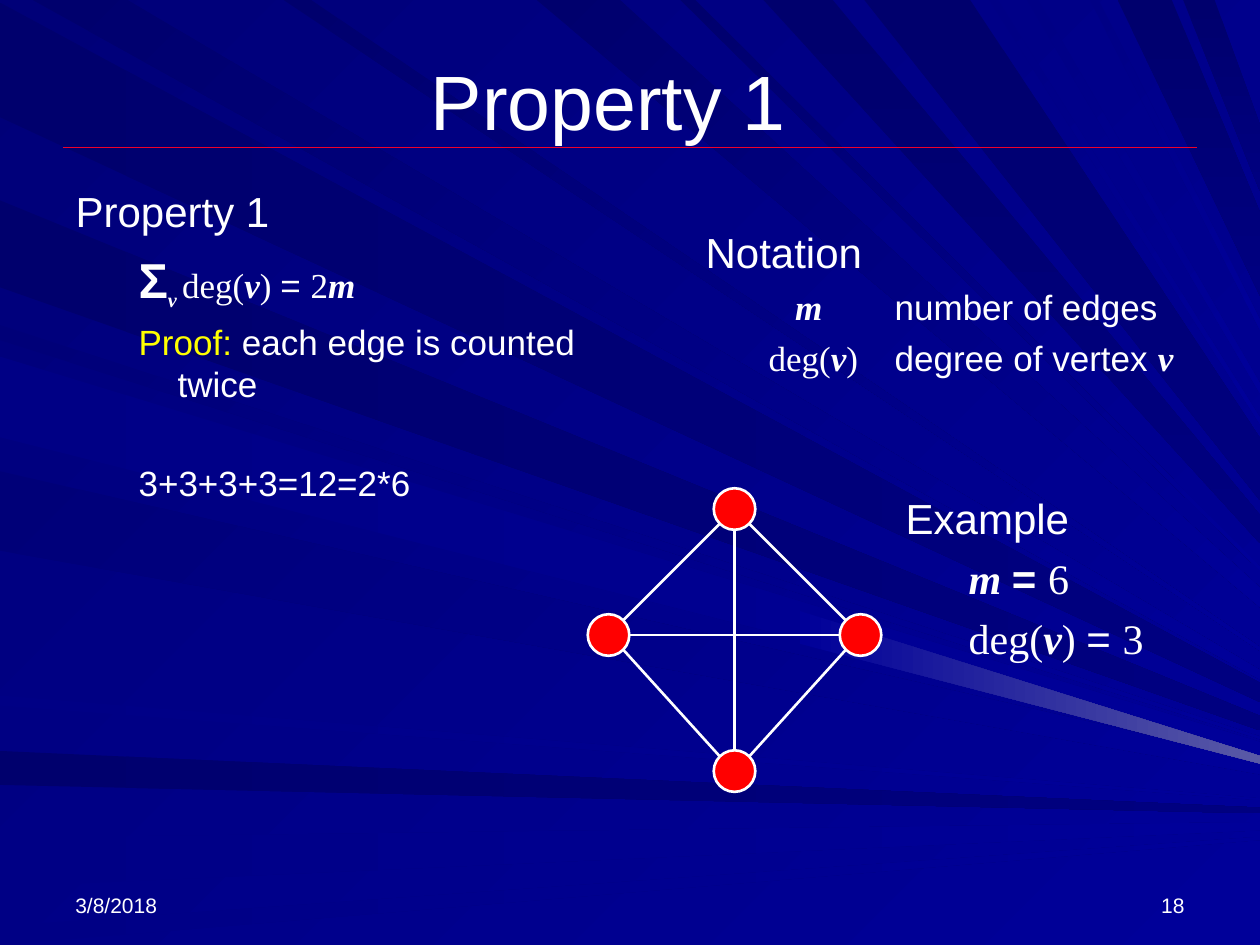
from lxml.etree import SubElement
from pptx import Presentation
from pptx.dml.color import RGBColor
from pptx.enum.shapes import MSO_CONNECTOR as CONNECTOR, MSO_SHAPE as SHAPE
from pptx.enum.text import MSO_ANCHOR as ANCHOR, MSO_AUTO_SIZE as AUTO_SIZE, PP_ALIGN as ALIGN
from pptx.oxml.ns import qn
from pptx.util import Inches, Pt

WHITE = RGBColor(0xFF, 0xFF, 0xFF)
YELLOW = RGBColor(0xFF, 0xFF, 0x00)
RED = RGBColor(0xFF, 0x00, 0x00)
CRIMSON = RGBColor(0xEF, 0x01, 0x29)
MIDNIGHT = RGBColor(0x00, 0x00, 0x6D)
NIGHT = RGBColor(0x00, 0x00, 0x78)
NAVY = RGBColor(0x00, 0x00, 0x80)
ROYAL = RGBColor(0x00, 0x00, 0x85)
BLUE = RGBColor(0x00, 0x00, 0x99)
HAZE = RGBColor(0x5A, 0x5A, 0xA6)

SERIF = dict(font="Times New Roman")
VARIABLE = dict(SERIF, bold=True, italic=True)
HEADING = (0.38, -0.38)
ITEM = (0.81, -0.31)
NODE_SIZE = 0.33
SLIDE_WIDTH = 10
FOCUS = (12, 6.5)

LEFT_RAYS = [
    (MIDNIGHT, NAVY, 0, [(0.02, 0.93), (1.59, 2.28), (5.96, 6.23)]),
    (NIGHT, BLUE, 45, [(2.58, 2.7), (3.74, 4.37)]),
    (ROYAL, BLUE, 0, [(2.83, 3.47), (5.52, 5.6), (6.65, 7.04), (7.35, 7.5)]),
]
TOP_RAYS = [
    (MIDNIGHT, BLUE, 45, [(0.26, 1.01), (2.25, 2.47), (4.26, 4.92), (5.4, 5.52)]),
    (MIDNIGHT, NAVY, 90, [(6.06, 6.61), (6.86, 7.7), (8.87, 9.3), (9.39, 9.64)]),
    (ROYAL, BLUE, 45, [(7.85, 7.92), (8.15, 8.24), (8.65, 8.72)]),
]


def write(paragraph, text, size=20, font="Arial", color=WHITE, bold=False, italic=False, baseline=0):
    run = paragraph.add_run()
    run.text = text
    style = run.font
    style.size, style.name, style.bold, style.italic = Pt(size), font, bold, italic
    style.color.rgb = color
    if baseline:
        run._r.get_or_add_rPr().set("baseline", str(baseline * 1000))


def shade(fill, start, end, angle):
    fill.gradient()
    fill.gradient_angle = -angle % 360
    for stop, color in zip(fill.gradient_stops, (start, end)):
        stop.color.rgb = color


def toward_focus(x, y):
    share = (SLIDE_WIDTH - x) / (FOCUS[0] - x)
    return SLIDE_WIDTH, y + (FOCUS[1] - y) * share


class GraphSlide:
    """Holds the current slide and draws each kind of element in one style."""

    def __init__(self, slide):
        self.slide = slide
        self.shapes = slide.shapes

    def beam(self, points, start, end, angle):
        corners = [(Inches(x), Inches(y)) for x, y in points]
        builder = self.shapes.build_freeform(*corners[0], scale=1.0)
        builder.add_line_segments(corners[1:], close=True)
        beam = builder.convert_to_shape()
        beam.shadow.inherit = False
        beam.line.fill.background()
        shade(beam.fill, start, end, angle)

    def rays(self, groups, from_top):
        for start, end, angle, spans in groups:
            for span in spans:
                near, far = [(place, 0) if from_top else (0, place) for place in span]
                self.beam([near, toward_focus(*near), toward_focus(*far), far], start, end, angle)

    def line(self, begin, end, color=WHITE, width=1.5):
        stroke = self.shapes.add_connector(CONNECTOR.STRAIGHT, *map(Inches, begin + end))
        stroke.line.color.rgb, stroke.line.width = color, Pt(width)
        SubElement(stroke._element.spPr, qn("a:effectLst"))

    def edge(self, start, end):
        steps = [(b > a) - (b < a) for a, b in zip(start, end)]
        reach = NODE_SIZE / 2 * (0.71 if all(steps) else 1.05)
        self.line(tuple(a + s * reach for a, s in zip(start, steps)),
                  tuple(b - s * reach for b, s in zip(end, steps)))

    def node(self, center):
        x, y = (Inches(c - NODE_SIZE / 2) for c in center)
        dot = self.shapes.add_shape(SHAPE.OVAL, x, y, Inches(NODE_SIZE), Inches(NODE_SIZE))
        dot.shadow.inherit = False
        dot.fill.solid()
        dot.fill.fore_color.rgb = RED
        dot.line.color.rgb, dot.line.width = WHITE, Pt(1.5)

    def placeholder(self, index, box, paragraphs, **layout):
        holder = self.slide.placeholders[index]
        self.shapes._spTree.append(holder._element)
        holder.left, holder.top, holder.width, holder.height = map(Inches, box)
        return self.fill_text(holder, paragraphs, **layout)

    def textbox(self, box, paragraphs, **layout):
        return self.fill_text(self.shapes.add_textbox(*map(Inches, box)), paragraphs, **layout)

    def fill_text(self, holder, paragraphs, anchor=ANCHOR.TOP, align=ALIGN.LEFT):
        frame = holder.text_frame
        frame.word_wrap, frame.auto_size, frame.vertical_anchor = True, AUTO_SIZE.NONE, anchor
        for i, ((left, indent), before, runs) in enumerate(paragraphs):
            paragraph = frame.add_paragraph() if i else frame.paragraphs[0]
            paragraph.alignment, paragraph.level = align, min(i, 1)
            paragraph.space_before = Pt(before)
            properties = paragraph._p.get_or_add_pPr()
            properties.set("marL", str(Inches(left)))
            properties.set("indent", str(Inches(indent)))
            SubElement(properties, qn("a:buNone"))
            for text, style in runs:
                write(paragraph, text, **style)
        return frame

    def label(self, text, size):
        return [((0, 0), 0, [(text, dict(size=size))])]


def main():
    deck = Presentation()
    deck.slide_width, deck.slide_height = Inches(SLIDE_WIDTH), Inches(7.5)
    page = GraphSlide(deck.slides.add_slide(deck.slide_layouts[3]))
    shade(page.slide.background.fill, NIGHT, BLUE, 45)
    page.rays(LEFT_RAYS, from_top=False)
    page.rays(TOP_RAYS, from_top=True)
    page.beam([(6.35, 4.85), (10, 6), (10, 6.06), (6.35, 5.11)], BLUE, HAZE, 0)
    page.line((0.5, 1.17), (9.5, 1.17), CRIMSON, 0.75)

    page.textbox((0.5, 6.83, 2.33, 0.5), page.label("3/8/2018", 12), anchor=ANCHOR.BOTTOM)
    page.textbox((7.17, 6.83, 2.33, 0.5), page.label("18", 12), anchor=ANCHOR.BOTTOM, align=ALIGN.RIGHT)
    title = page.placeholder(0, (0.5, 0.3, 9, 0.98), page.label("Property 1", 44),
                             anchor=ANCHOR.MIDDLE, align=ALIGN.CENTER)
    title.margin_right = Inches(0.44)

    large = dict(size=24)
    page.placeholder(2, (5.5, 1.75, 4.08, 1.75), [
        ((0.12, -0.12), 0, [("Notation", large)]),
        ((1.5, -0.79), 5, [("m\t", VARIABLE), ("number of edges", {})]),
        ((1.5, -1), 5, [("deg(", SERIF), ("v", VARIABLE), (")\t", SERIF),
                        ("degree of vertex ", {}), ("v", VARIABLE)]),
    ])
    page.placeholder(1, (0.5, 1.42, 4.25, 5.42), [
        (HEADING, 0, [("Property 1", large)]),
        (ITEM, 8, [("Σ", dict(size=28, bold=True)), ("v ", dict(VARIABLE, baseline=-25)),
                   ("deg(", SERIF), ("v", VARIABLE), (") ", SERIF), ("= ", {}),
                   ("2", SERIF), ("m", VARIABLE)]),
        (ITEM, 5, [("Proof:", dict(color=YELLOW)), (" each edge is counted twice", {})]),
        (ITEM, 33, [("3+3+3+3=12=2*6", {})]),
    ])

    west, north, south, east = (4.83, 5.04), (5.83, 4.04), (5.83, 6.12), (6.83, 5.04)
    for vertex in (west, north, south, east):
        page.node(vertex)
    for ends in ((north, east), (north, west), (south, west), (east, south), (east, west), (south, north)):
        page.edge(*ends)

    serif, variable = dict(SERIF, **large), dict(VARIABLE, **large)
    page.textbox((7.09, 3.86, 2.5, 2), [
        (HEADING, 0, [("Example", large)]),
        (ITEM, 5.5, [("m ", variable), ("= ", dict(large, bold=True)), ("6", serif)]),
        (ITEM, 5.5, [("deg(", serif), ("v", variable), (") ", serif), ("= ", large), ("3", serif)]),
    ])
    deck.save("out.pptx")


if __name__ == "__main__":
    main()
